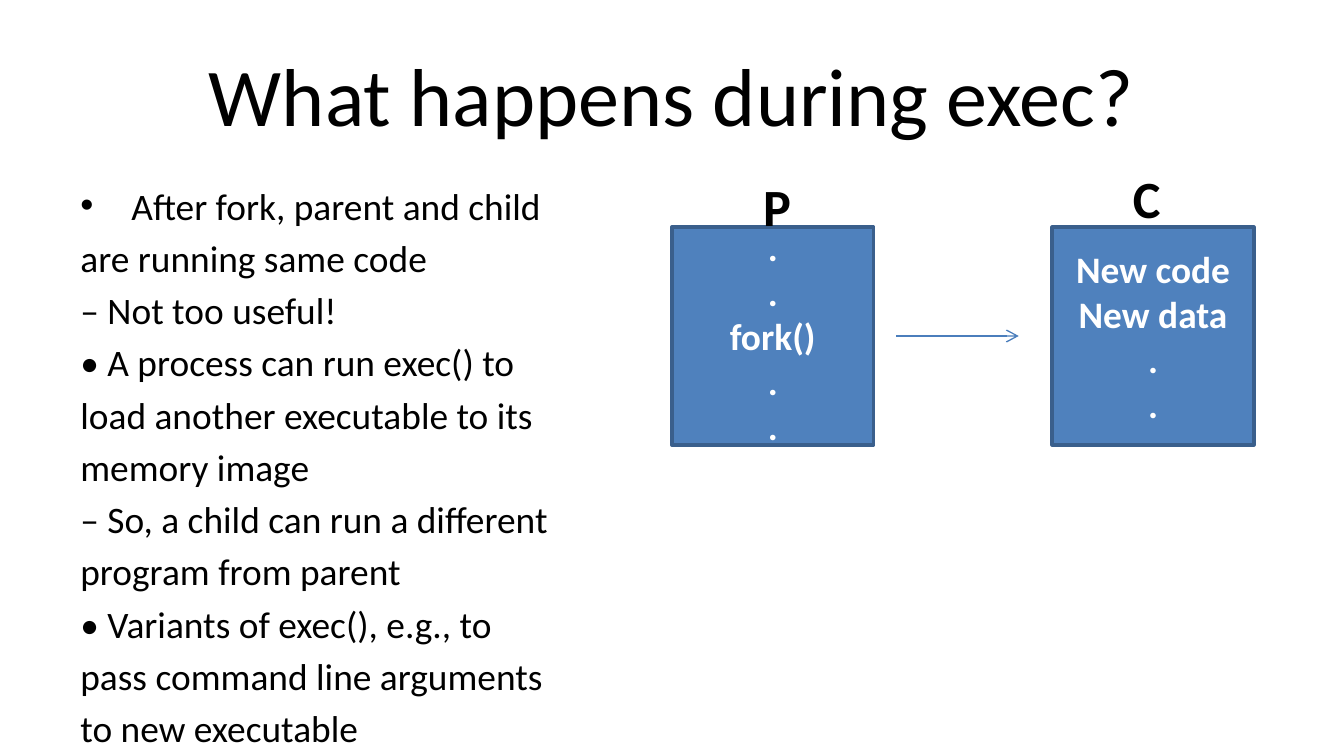
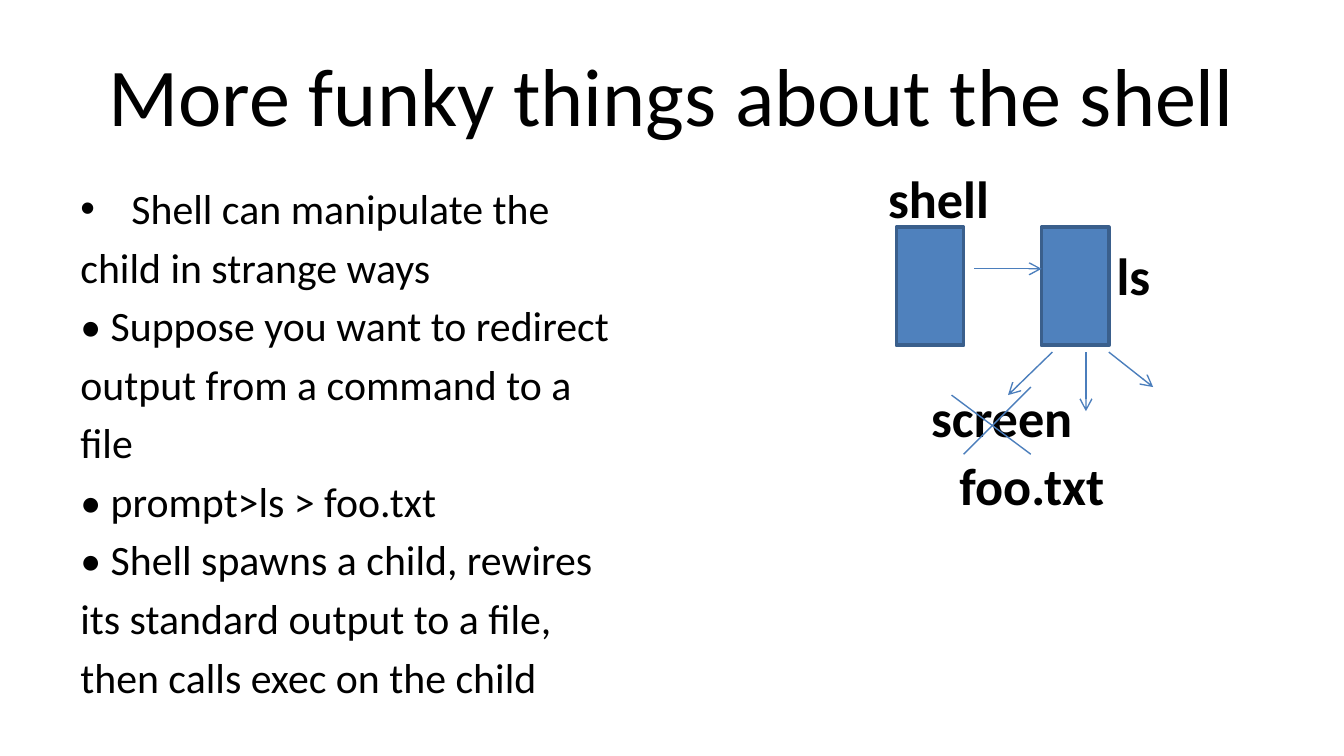
from dataclasses import dataclass

from lxml import etree
from pptx import Presentation
from pptx.dml.color import RGBColor
from pptx.enum.shapes import MSO_CONNECTOR, MSO_SHAPE
from pptx.enum.text import MSO_ANCHOR, MSO_AUTO_SIZE, PP_ALIGN
from pptx.oxml.ns import qn
from pptx.util import Inches, Pt

STRAIGHT = MSO_CONNECTOR.STRAIGHT
RECTANGLE = MSO_SHAPE.RECTANGLE
MIDDLE = MSO_ANCHOR.MIDDLE
CENTER = PP_ALIGN.CENTER
GROW = MSO_AUTO_SIZE.SHAPE_TO_FIT_TEXT


@dataclass(frozen=True)
class Theme:
    font: str = "Calibri"
    text: RGBColor = RGBColor(0, 0, 0)
    light: RGBColor = RGBColor(255, 255, 255)
    fill: RGBColor = RGBColor.from_string("4F81BD")
    border: RGBColor = RGBColor.from_string("3A5F8C")
    arrow: RGBColor = RGBColor.from_string("4B7EBC")
    title_size: float = 44
    label_size: float = 28
    code_size: float = 20
    border_width: float = 2
    arrow_width: float = 0.75
    line_gap: float = 0.2  # share of the type size
    hanging: float = 0.38


THEME = Theme()
TITLE_BOX = (0.5, 0.23, 9, 0.94)
BODY_BOX = (0.5, 1.31, 9, 3.71)
FORK_BOX = (5, 1.19, 4.33, 2.12)
SHELL_BOX = (6.5, 1.19, 2.16, 2.7)


def inches(*lengths):
    return [Inches(length) for length in lengths]


def write(frame, lines, size, color=THEME.text, bold=False, align=None):
    """Fill a text frame with one paragraph a line."""
    for number, line in enumerate(lines):
        paragraph = frame.paragraphs[0] if number == 0 else frame.add_paragraph()
        paragraph.text = line
        paragraph.alignment = align
        font = paragraph.font
        font.name, font.size, font.bold = THEME.font, Pt(size), bold
        font.color.rgb = color


def add_title(slide, box, text):
    frame = slide.shapes.add_textbox(*inches(*box)).text_frame
    frame.word_wrap = True
    frame.vertical_anchor = MIDDLE
    write(frame, [text], THEME.title_size, align=CENTER)


def add_body(slide, box, lines, size):
    frame = slide.shapes.add_textbox(*inches(*box)).text_frame
    frame.word_wrap = True
    write(frame, lines, size)
    for paragraph in frame.paragraphs:
        paragraph.space_before = Pt(round(size * THEME.line_gap, 1))
        properties = paragraph._p.get_or_add_pPr()
        properties.set("marL", str(Inches(THEME.hanging)))
        properties.set("indent", str(-Inches(THEME.hanging)))
    # Only the first line has a real bullet
    first = frame.paragraphs[0]._p.get_or_add_pPr()
    spacing = first.find(qn("a:spcBef"))
    bullet_font = etree.Element(qn("a:buFont"), typeface="Arial")
    spacing.addnext(bullet_font)
    bullet_font.addnext(etree.Element(qn("a:buChar"), char="•"))


def add_process(slide, left, top, width, height, code=()):
    process = slide.shapes.add_shape(RECTANGLE, *inches(left, top, width, height))
    process.shadow.inherit = False
    process.fill.solid()
    process.fill.fore_color.rgb = THEME.fill
    process.line.color.rgb = THEME.border
    process.line.width = Pt(THEME.border_width)
    process.text_frame.vertical_anchor = MIDDLE
    write(process.text_frame, code, THEME.code_size, THEME.light, True, CENTER)


def add_label(slide, left, top, width, text):
    frame = slide.shapes.add_textbox(*inches(left, top, width, 0.57)).text_frame
    frame.word_wrap = False
    frame.auto_size = GROW
    write(frame, [text], THEME.label_size, bold=True)


def add_line(slide, x1, y1, x2, y2, head=True):
    line = slide.shapes.add_connector(STRAIGHT, *inches(x1, y1, x2, y2))
    line.line.color.rgb = THEME.arrow
    line.line.width = Pt(THEME.arrow_width)
    if head:
        etree.SubElement(line.line._get_or_add_ln(), qn("a:tailEnd"), type="arrow")
    etree.SubElement(line._element.spPr, qn("a:effectLst"))


def draw_fork(slide, box):
    """Parent and child processes side by side."""
    left, top, width, height = box
    process_width, process_top = 1.5, top + 0.5
    process_height = height - 0.5
    child_left = left + width - process_width
    add_process(slide, left, process_top, process_width, process_height,
                [".", ".", "fork()", ".", "."])
    add_process(slide, child_left, process_top, process_width, process_height,
                ["New code", "New data", ".", "."])
    add_label(slide, left + 0.58, top + 0.06, 0.41, "P")
    add_label(slide, child_left + 0.5, top, 0.41, "C")
    middle = process_top + process_height / 2
    add_line(slide, left + 1.67, middle, child_left - 0.25, middle)


def draw_redirect(slide, box):
    """Shell, its child, and the child's output targets."""
    left, top, _, _ = box
    # Processes
    shell_left, child_left = left + 0.17, left + 1.25
    for process_left in (shell_left, child_left):
        add_process(slide, process_left, top + 0.5, 0.5, 0.88)
    add_line(slide, left + 0.75, top + 0.81, child_left, top + 0.81)
    # Output arrows
    output_top = top + 1.43
    for start, end, drop in ((1.33, 1, 0.32), (1.58, 1.58, 0.44), (1.75, 2.08, 0.26)):
        add_line(slide, left + start, output_top, left + end, output_top + drop)
    # Labels
    for x, y, width, text in (
        (0.01, 0, 0.96, "shell"),
        (1.71, 0.57, 0.45, "ls"),
        (0.33, 1.63, 1.27, "screen"),
        (0.54, 2.13, 1.29, "foo.txt"),
    ):
        add_label(slide, left + x, top + y, width, text)
    # Cross over the screen
    cross_bottom = top + 2.19
    add_line(slide, left + 0.58, top + 1.75, left + 1.17, cross_bottom, head=False)
    add_line(slide, left + 1.17, top + 1.69, left + 0.67, cross_bottom, head=False)


SLIDES = [
    ("What happens during exec?", 20, [
        "After fork, parent and child",
        "are running same code",
        "– Not too useful!",
        "• A process can run exec() to",
        "load another executable to its",
        "memory image",
        "– So, a child can run a different",
        "program from parent",
        "• Variants of exec(), e.g., to",
        "pass command line arguments",
        "to new executable",
    ], draw_fork, FORK_BOX),
    ("More funky things about the shell", 22.4, [
        "Shell can manipulate the",
        "child in strange ways",
        "• Suppose you want to redirect",
        "output from a command to a",
        "file",
        "• prompt>ls > foo.txt",
        "• Shell spawns a child, rewires",
        "its standard output to a file,",
        "then calls exec on the child",
    ], draw_redirect, SHELL_BOX),
]


def main():
    deck = Presentation()
    # Widescreen, 16 to 9
    deck.slide_width = Inches(10)
    deck.slide_height = Inches(10 * 9 / 16)
    blank = deck.slide_layouts[6]
    for title, body_size, body, draw_diagram, diagram_box in SLIDES:
        slide = deck.slides.add_slide(blank)
        add_title(slide, TITLE_BOX, title)
        add_body(slide, BODY_BOX, body, body_size)
        draw_diagram(slide, diagram_box)
    deck.save("out.pptx")


if __name__ == "__main__":
    main()
